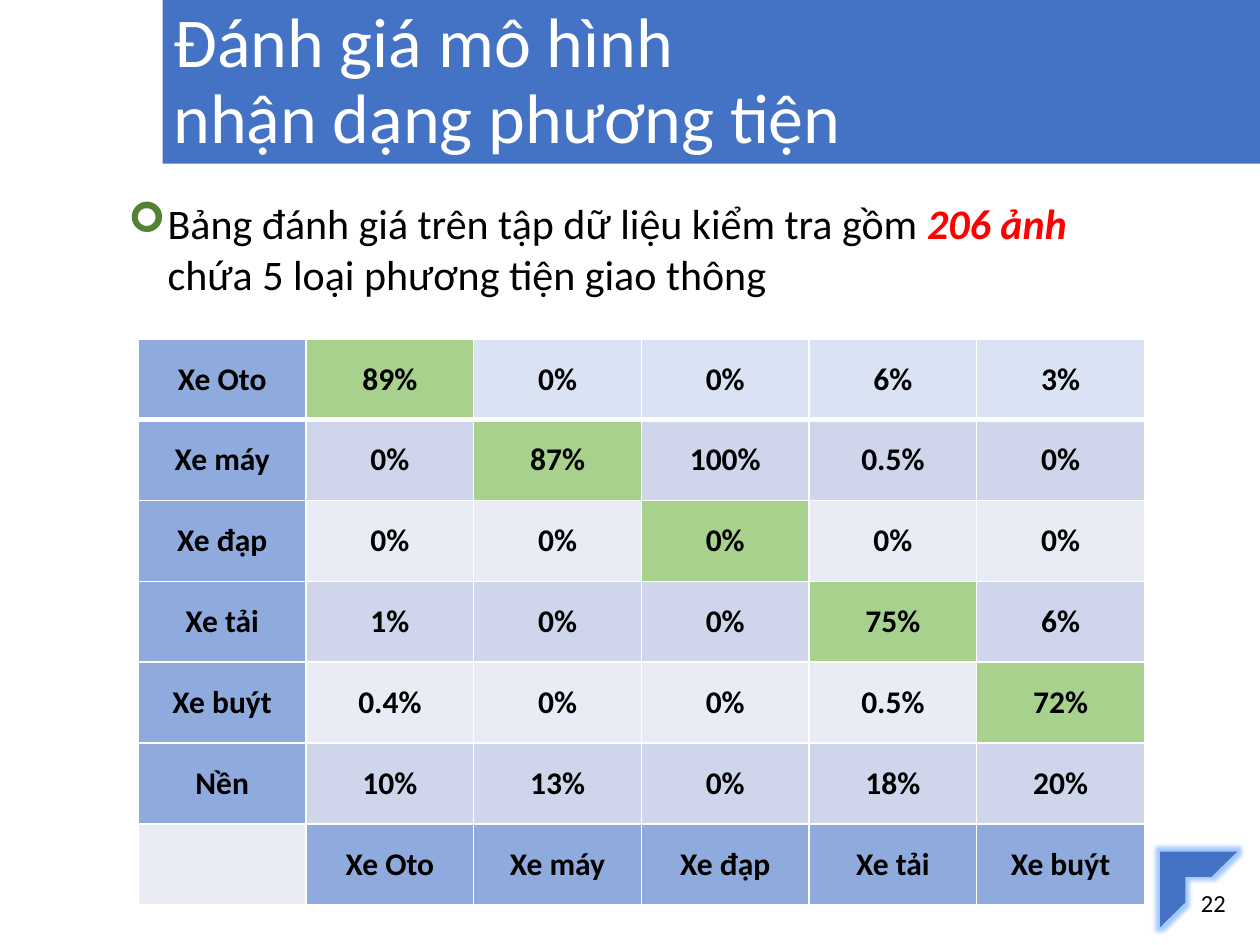
import dataclasses

import lxml.etree
import pptx
import pptx.dml.color
import pptx.enum.shapes
import pptx.enum.text
import pptx.oxml.ns
import pptx.util

Cm = pptx.util.Cm
Pt = pptx.util.Pt
qn = pptx.oxml.ns.qn
ALIGN = pptx.enum.text.PP_ALIGN
ANCHOR = pptx.enum.text.MSO_ANCHOR
SHAPE = pptx.enum.shapes.MSO_SHAPE


@dataclasses.dataclass(frozen=True)
class Theme:
    font: str = "Calibri"
    accent: str = "4472C4"
    glow: str = "A6CAFF"
    white: str = "FFFFFF"
    black: str = "000000"
    red: str = "FF0000"
    bullet: str = "548235"
    label: str = "8FAADC"
    diagonal: str = "A9D18E"
    first_row: str = "DAE3F3"
    odd_row: str = "CFD5EA"
    even_row: str = "E9EBF5"
    title_size: int = 40
    body_size: int = 24
    table_size: int = 18
    number_size: int = 14


THEME = Theme()
VEHICLES = ["Xe Oto", "Xe máy", "Xe đạp", "Xe tải", "Xe buýt"]
RATES = [
    ["89%", "0%", "0%", "6%", "3%"],
    ["0%", "87%", "100%", "0.5%", "0%"],
    ["0%", "0%", "0%", "0%", "0%"],
    ["1%", "0%", "0%", "75%", "6%"],
    ["0.4%", "0%", "0%", "0.5%", "72%"],
    ["10%", "13%", "0%", "18%", "20%"],
]


def rgb(color):
    return pptx.dml.color.RGBColor.from_string(color)


def add_run(paragraph, text, size, color=THEME.black, bold=False, italic=False):
    run = paragraph.add_run()
    run.text = text
    run.font.name = THEME.font
    run.font.size = Pt(size)
    run.font.color.rgb = rgb(color)
    run.font.bold = bold
    run.font.italic = italic


def add_block(slide, kind, left, top, width, height):
    shape = slide.shapes.add_shape(kind, Cm(left), Cm(top), Cm(width), Cm(height))
    shape.shadow.inherit = False
    shape.fill.solid()
    shape.fill.fore_color.rgb = rgb(THEME.accent)
    shape.line.fill.background()
    return shape


def add_glow(shape, color, radius):
    effects = shape._element.spPr.find(qn("a:effectLst"))
    glow = lxml.etree.SubElement(effects, qn("a:glow"), rad=str(Pt(radius)))
    lxml.etree.SubElement(glow, qn("a:srgbClr"), val=color)


def add_text_box(slide, left, top, width, height, anchor):
    box = slide.shapes.add_textbox(Cm(left), Cm(top), Cm(width), Cm(height))
    box.text_frame.word_wrap = True
    box.text_frame.vertical_anchor = anchor
    return box.text_frame.paragraphs[0]


def set_bullet(paragraph, symbol, color, indent):
    properties = paragraph._p.get_or_add_pPr()
    properties.set("marL", str(Cm(indent)))
    properties.set("indent", str(-Cm(indent)))
    bullet_color = lxml.etree.SubElement(properties, qn("a:buClr"))
    lxml.etree.SubElement(bullet_color, qn("a:srgbClr"), val=color)
    lxml.etree.SubElement(properties, qn("a:buFont"), typeface="Wingdings")
    lxml.etree.SubElement(properties, qn("a:buChar"), char=symbol)


def set_borders(cell, top, bottom):
    properties = cell._tc.get_or_add_tcPr()
    for side, width in (("L", 1), ("R", 1), ("T", top), ("B", bottom)):
        line = lxml.etree.SubElement(properties, qn(f"a:ln{side}"), w=str(Pt(width)))
        fill = lxml.etree.SubElement(line, qn("a:solidFill"))
        lxml.etree.SubElement(fill, qn("a:srgbClr"), val=THEME.white)


def cell_color(row, column):
    last = len(RATES)
    if (row == last) != (column == 0):
        return THEME.label
    if column == row + 1:
        return THEME.diagonal
    if row == 0:
        return THEME.first_row
    return THEME.odd_row if row % 2 else THEME.even_row


def add_rate_table(slide, left, top, column_width, row_height):
    labels = VEHICLES + ["Nền"]
    rows = [[label, *rates] for label, rates in zip(labels, RATES)] + [["", *VEHICLES]]
    row_count, column_count = len(rows), len(rows[0])
    table = slide.shapes.add_table(
        row_count, column_count, Cm(left), Cm(top),
        Cm(column_width * column_count), Cm(row_height * row_count),
    ).table
    for row, values in enumerate(rows):
        for column, value in enumerate(values):
            cell = table.cell(row, column)
            cell.vertical_anchor = ANCHOR.MIDDLE
            set_borders(cell, 3 if row == 1 else 1, 3 if row == 0 else 1)
            cell.fill.solid()
            cell.fill.fore_color.rgb = rgb(cell_color(row, column))
            if value:
                paragraph = cell.text_frame.paragraphs[0]
                paragraph.alignment = ALIGN.CENTER
                add_run(paragraph, value, THEME.table_size, bold=True)


def add_title(slide, lines):
    paragraph = add_text_box(slide, 3.25, 0.03, 18.85, 3.28, ANCHOR.MIDDLE)
    paragraph.line_spacing = 0.9
    for index, line in enumerate(lines):
        if index:
            paragraph.add_line_break()
        add_run(paragraph, line, THEME.title_size, THEME.white)


def add_body(slide):
    paragraph = add_text_box(slide, 2.34, 3.86, 19.79, 2.95, ANCHOR.TOP)
    paragraph.space_before = Pt(10)
    set_bullet(paragraph, "➢", THEME.bullet, 0.79)
    size = THEME.body_size
    add_run(paragraph, "Bảng đánh giá trên tập dữ liệu kiểm tra gồm ", size)
    add_run(paragraph, "206 ảnh ", size, THEME.red, bold=True, italic=True)
    add_run(paragraph, "chứa 5 loại phương tiện giao thông", size)


def add_slide_number(slide, number):
    corner = add_block(slide, SHAPE.HALF_FRAME, 23.39, 17.17, 1.55, 1.52)
    add_glow(corner, THEME.glow, 5)
    paragraph = add_text_box(slide, 23.52, 17.68, 1.88, 1.02, ANCHOR.MIDDLE)
    paragraph.alignment = ALIGN.CENTER
    add_run(paragraph, number, THEME.number_size)


def main():
    presentation = pptx.Presentation()
    presentation.slide_width = Cm(25.4)
    presentation.slide_height = Cm(19.05)
    slide = presentation.slides.add_slide(presentation.slide_layouts[6])
    add_block(slide, SHAPE.RECTANGLE, 3.28, 0, 22.12, 3.3)
    add_slide_number(slide, "22")
    add_title(slide, ["Đánh giá mô hình", "nhận dạng phương tiện"])
    add_body(slide)
    add_rate_table(slide, 2.79, 6.83, 3.38, 1.63)
    presentation.save("out.pptx")


if __name__ == "__main__":
    main()
